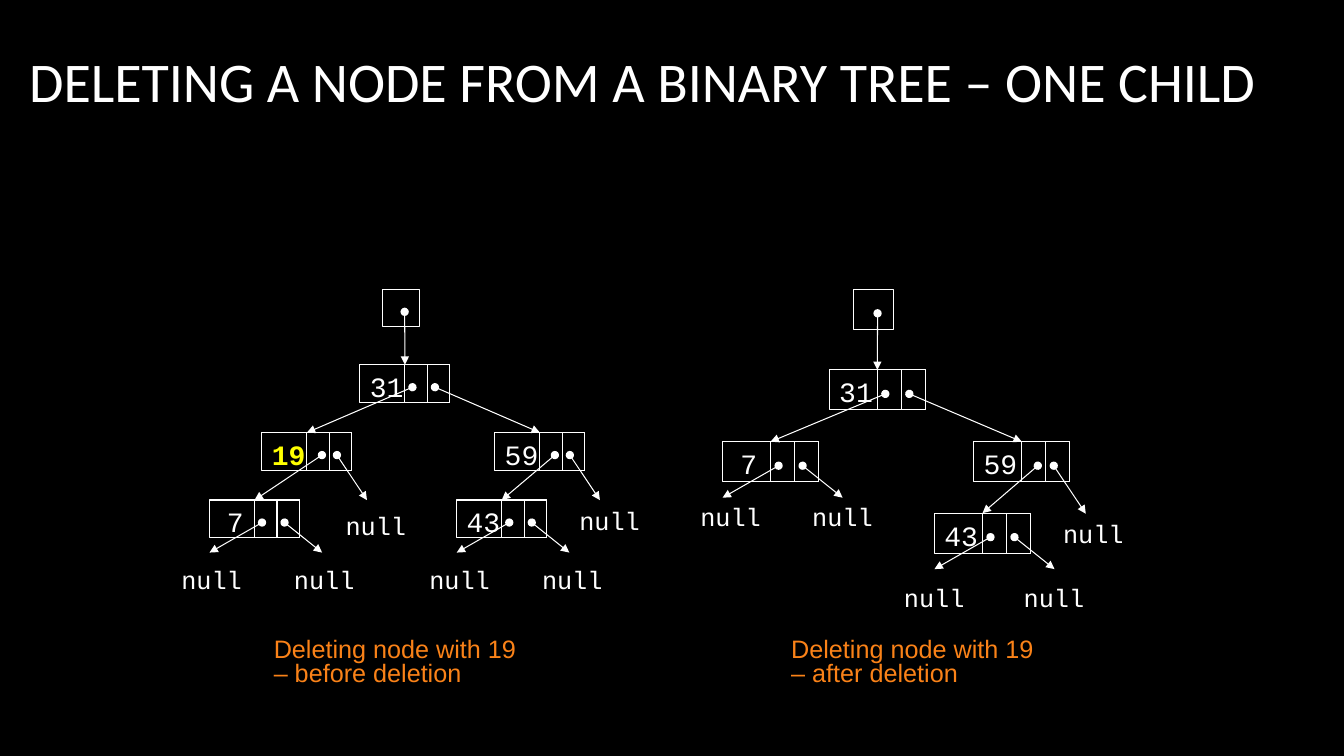
from lxml import etree
from pptx import Presentation
from pptx.dml.color import RGBColor
from pptx.enum.shapes import MSO_CONNECTOR, MSO_SHAPE
from pptx.enum.text import MSO_ANCHOR, MSO_AUTO_SIZE, PP_ALIGN
from pptx.oxml.ns import qn
from pptx.util import Cm, Pt

RECTANGLE = MSO_SHAPE.RECTANGLE
STRAIGHT = MSO_CONNECTOR.STRAIGHT
GROW, NO_FIT = MSO_AUTO_SIZE.SHAPE_TO_FIT_TEXT, MSO_AUTO_SIZE.NONE
TOP, MIDDLE = MSO_ANCHOR.TOP, MSO_ANCHOR.MIDDLE
LEFT = PP_ALIGN.LEFT

BLACK = RGBColor(0x00, 0x00, 0x00)
WHITE = RGBColor(0xFF, 0xFF, 0xFF)
YELLOW = RGBColor(0xFF, 0xFF, 0x00)
ORANGE = RGBColor(0xFA, 0x82, 0x18)
CODE_FONT = "Courier New"

# Content: lengths in cm. A node holds its left and top, its children
# (None for null) and the left and top of each null label.
TITLE = "DELETING A NODE FROM A BINARY TREE – ONE CHILD"
DELETED = "19"
TREES = [
    {
        "caption": "Deleting node with 19 – before deletion",
        "caption_left": 6.65,
        "node_width": 2.27,
        "root": (9.63, 7.29, "31"),
        "nodes": {
            "31": (9.07, 9.19, ("19", "59"), []),
            "59": (12.47, 10.9, ("43", None), [(14.35, 12.6)]),
            "19": (6.6, 10.9, ("7", None), [(8.46, 12.73)]),
            "7": (5.28, 12.6, (None, None), [(4.32, 14.1), (7.16, 14.1)]),
            "43": (11.51, 12.6, (None, None), [(10.57, 14.1), (13.41, 14.1)]),
        },
    },
    {
        "caption": "Deleting node with 19 – after deletion",
        "caption_left": 19.69,
        "node_width": 2.42,
        "root": (21.51, 7.29, "31"),
        "nodes": {
            "31": (20.9, 9.32, ("7", "59"), []),
            "59": (24.54, 11.13, ("43", None), [(26.54, 12.93)]),
            "7": (18.21, 11.13, (None, None), [(17.4, 12.52), (20.22, 12.52)]),
            "43": (23.55, 12.93, (None, None), [(22.53, 14.55), (25.55, 14.55)]),
        },
    },
]


def add_box(shapes, left, top, width, height):
    box = shapes.add_shape(RECTANGLE, Cm(left), Cm(top), Cm(width), Cm(height))
    box.shadow.inherit = False
    box.fill.background()
    box.line.color.rgb = WHITE
    box.line.width = Pt(0.75)


def add_pointer(shapes, start, end):
    pointer = shapes.add_connector(STRAIGHT, *(Cm(n) for n in start + end))
    pointer.line.color.rgb = WHITE
    pointer.line.width = Pt(0.75)
    outline = pointer.line._get_or_add_ln()
    for tag, kind in (("a:headEnd", "oval"), ("a:tailEnd", "triangle")):
        etree.SubElement(outline, qn(tag)).set("type", kind)
    etree.SubElement(pointer._element.spPr, qn("a:effectLst"))


def add_label(shapes, text, at, size, color=WHITE, font=CODE_FONT, wrap=False):
    label = shapes.add_textbox(*(Cm(n) for n in at))
    frame = label.text_frame
    frame.word_wrap = wrap
    frame.auto_size = GROW
    frame.vertical_anchor = TOP
    frame.text = text
    para = frame.paragraphs[0]
    para.font.name = font
    para.font.size = Pt(size)
    para.font.color.rgb = color
    return para


def pointer_ends(children, nodes, left, top, unit):
    """Give the end of the left and of the right pointer of a node."""
    leaf = not any(children)
    null_ends = [(0, 7), (15, 7)] if leaf else [(0, 7), (14, 9)]
    for child, (across, down) in zip(children, null_ends):
        if child:
            yield nodes[child][0] + 6 * unit, nodes[child][1]
        else:
            yield left + across * unit, top + down * unit


def add_tree(shapes, tree):
    unit = tree["node_width"] / 12  # a node is 12 by 5 units
    nodes = tree["nodes"]

    # Root reference
    left, top, first = tree["root"]
    add_box(shapes, left, top, 5 * unit, 5 * unit)
    add_pointer(shapes, (left + 3 * unit, top + 3 * unit),
                (nodes[first][0] + 6 * unit, nodes[first][1]))

    # Nodes: outer box and two pointer cells
    for left, top, _, _ in nodes.values():
        for offset, width in ((0, 12), (9, 3), (6, 3)):
            add_box(shapes, left + offset * unit, top, width * unit, 5 * unit)

    # Pointers, values and null labels
    for value, (left, top, children, nulls) in nodes.items():
        one_child = any(children) and not all(children)
        starts = (8 if one_child else 7, 10)
        ends = pointer_ends(children, nodes, left, top, unit)
        for start, end in zip(starts, ends):
            add_pointer(shapes, (left + start * unit, top + 3 * unit), end)

        indent, width = (unit, 0.93) if len(value) == 1 else (0, 1.36)
        deleted = value == DELETED
        para = add_label(shapes, value, (left + indent, top, width, 1.1), 20,
                         YELLOW if deleted else WHITE)
        para.font.bold = deleted
        for place in nulls:
            add_label(shapes, "null", place + (2.04, 1.03), 18)


def main():
    deck = Presentation()
    deck.slide_width, deck.slide_height = Cm(33.87), Cm(19.05)
    page = deck.slides.add_slide(deck.slide_layouts[5])
    page.background.fill.solid()
    page.background.fill.fore_color.rgb = BLACK

    # Title
    title = page.shapes.title
    title.left, title.top, title.width, title.height = (
        Cm(0.48), Cm(1.04), Cm(31.93), Cm(1.96))
    frame = title.text_frame
    frame.text = TITLE
    frame.auto_size = NO_FIT
    frame.vertical_anchor = MIDDLE
    para = frame.paragraphs[0]
    para.alignment = LEFT
    para.font.name = "Calibri"
    para.font.size = Pt(40)
    para.font.color.rgb = WHITE

    # Trees with their captions
    for tree in TREES:
        add_tree(page.shapes.add_group_shape().shapes, tree)
        caption = add_label(page.shapes, tree["caption"],
                            (tree["caption_left"], 15.98, 7.04, 1.5),
                            18, ORANGE, "Arial", wrap=True)
        caption.line_spacing = 0.8

    deck.save("out.pptx")


if __name__ == "__main__":
    main()
